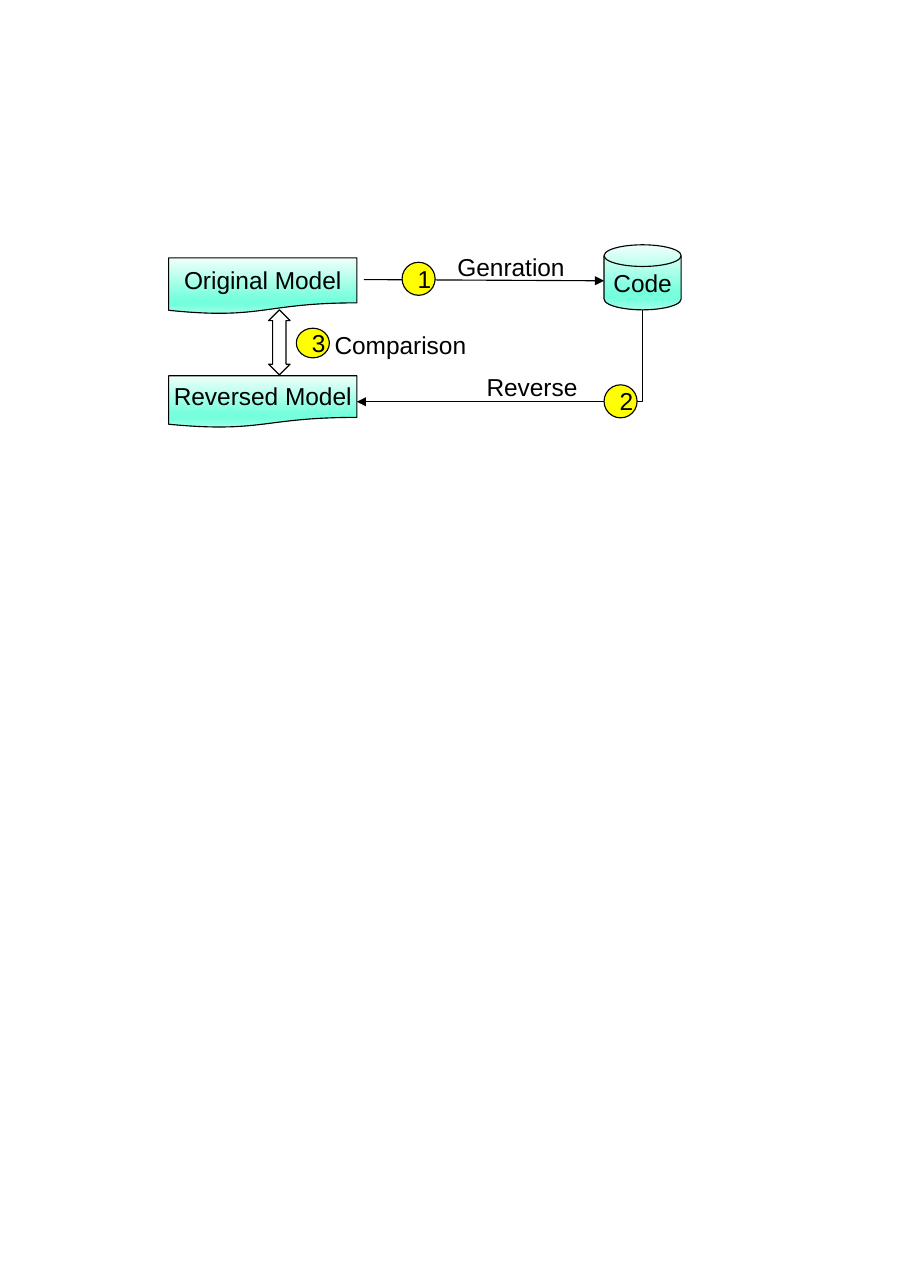
from lxml import etree
from pptx import Presentation
from pptx.dml.color import RGBColor
from pptx.enum import shapes, text
from pptx.oxml import ns
from pptx.util import Pt

COLORS = {
    "ink": "000000", "arrow": "FFFFFF", "badge": "FFFF00",
    "pale": "F0FFFB", "mint": "75FFDD", "soft": "A3FFE8",
}
NODE_STOPS = [(0, "pale"), (74, "mint"), (83, "mint"), (100, "soft")]
KIND = shapes.MSO_SHAPE


def color(name):
    """Return the named colour."""
    return RGBColor.from_string(COLORS[name])


def write(shape, words, align, anchor, side=7.2, wrap=True):
    """Put one line of text into a shape."""
    frame = shape.text_frame
    frame.word_wrap = wrap
    frame.vertical_anchor = anchor
    frame.margin_left = frame.margin_right = Pt(side)
    frame.margin_top, frame.margin_bottom = Pt(5), Pt(3.6)
    para = frame.paragraphs[0]
    para.text = words
    para.alignment = align
    para.line_spacing = 0.93
    para.font.name, para.font.size = "Arial", Pt(16)
    para.font.color.rgb = color("ink")


def add_outlined(page, kind, left, top, width, height):
    """Add a preset shape with a thin dark outline."""
    shape = page.shapes.add_shape(kind, Pt(left), Pt(top), Pt(width), Pt(height))
    shape.shadow.inherit = False
    shape.line.color.rgb = color("ink")
    shape.line.width = Pt(0.75)
    return shape


def fill_solid(shape, name):
    """Fill a shape with one colour."""
    shape.fill.solid()
    shape.fill.fore_color.rgb = color(name)


def add_node(page, kind, words, left, top, width, height):
    """Add a model or code node with the mint gradient."""
    node = add_outlined(page, kind, left, top, width, height)
    node.fill.gradient()
    node.fill.gradient_angle = 270
    stops = node._element.spPr.find(ns.qn("a:gradFill")).find(ns.qn("a:gsLst"))
    for stop in list(stops):
        stops.remove(stop)
    for percent, name in NODE_STOPS:
        stop = etree.SubElement(stops, ns.qn("a:gs"), pos=str(percent * 1000))
        etree.SubElement(stop, ns.qn("a:srgbClr"), val=COLORS[name])
    write(node, words, text.PP_ALIGN.CENTER, text.MSO_ANCHOR.MIDDLE, wrap=False)


def add_badge(page, number, left, top, height):
    """Add a numbered yellow step marker."""
    badge = add_outlined(page, KIND.OVAL, left, top, 21.6, height)
    fill_solid(badge, "badge")
    write(badge, number, text.PP_ALIGN.CENTER, text.MSO_ANCHOR.MIDDLE)


def add_label(page, words, left, top):
    """Add a step name."""
    label = page.shapes.add_textbox(Pt(left), Pt(top), Pt(100), Pt(27.4))
    write(label, words, text.PP_ALIGN.LEFT, text.MSO_ANCHOR.TOP, side=0)


def add_arrow(page, kind, start, end):
    """Add a connector with an arrowhead at its end."""
    arrow = page.shapes.add_connector(kind, *(Pt(value) for value in (*start, *end)))
    arrow.line.color.rgb = color("ink")
    arrow.line.width = Pt(0.75)
    line = arrow.line._get_or_add_ln()
    etree.SubElement(line, ns.qn("a:tailEnd"), type="triangle")
    etree.SubElement(arrow._element.spPr, ns.qn("a:effectLst"))
    return arrow


def add_corner_arrow(page, start, end):
    """Add an arrow that runs down from its start, then left to its end."""
    arrow = add_arrow(page, shapes.MSO_CONNECTOR.ELBOW, start, end)
    across, down = start[0] - end[0], end[1] - start[1]
    properties = arrow._element.spPr
    properties.find(ns.qn("a:prstGeom")).set("prst", "bentConnector2")
    frame = properties.find(ns.qn("a:xfrm"))
    frame.attrib.pop("flipH", None)
    frame.set("rot", str(90 * 60000))
    arrow.left = Pt((start[0] + end[0] - down) / 2)
    arrow.top = Pt((start[1] + end[1] - across) / 2)
    arrow.width, arrow.height = Pt(down), Pt(across)


def draw_round_trip(page, left, top, width, height):
    """Draw the model, code and reverse cycle inside the given box."""
    model_width, code_width, code_height = 123, 50.4, 42.5
    code_left = left + width - code_width
    reversed_top = top + height - 34
    reversed_middle = reversed_top + 17
    add_node(page, KIND.FLOWCHART_DOCUMENT, "Original Model",
             left, top + 8.5, model_width, 36.7)
    add_node(page, KIND.FLOWCHART_MAGNETIC_DISK, "Code",
             code_left, top, code_width, code_height)
    add_node(page, KIND.FLOWCHART_DOCUMENT, "Reversed Model",
             left, reversed_top, model_width, 34)
    add_corner_arrow(page, (code_left + code_width / 2, top + code_height),
                     (left + model_width, reversed_middle))
    add_arrow(page, shapes.MSO_CONNECTOR.STRAIGHT,
              (left + model_width + 4.6, top + 22.7), (code_left, top + 23.5))

    compare = add_outlined(page, KIND.UP_DOWN_ARROW, left + 65.4, top + 42.5, 14, 42.5)
    compare.adjustments[0], compare.adjustments[1] = 0.5, 0.625
    fill_solid(compare, "arrow")

    add_label(page, "Reverse", left + 207.8, top + 79.8)
    add_label(page, "Genration", left + 188.8, top + 1.5)
    add_label(page, "Comparison", left + 108.5, top + 52.4)
    add_badge(page, "1", left + 152.6, top + 11.4, 21.6)
    add_badge(page, "2", code_left, reversed_middle - 11, 21.6)
    add_badge(page, "3", left + 83.5, top + 54.5, 19.4)


def main():
    """Build the one-page deck."""
    deck = Presentation()
    deck.slide_width, deck.slide_height = Pt(595.4), Pt(841.7)
    page = deck.slides.add_slide(deck.slide_layouts[6])
    draw_round_trip(page, 110.2, 160, 335, 119.5)
    deck.save("out.pptx")


if __name__ == "__main__":
    main()
